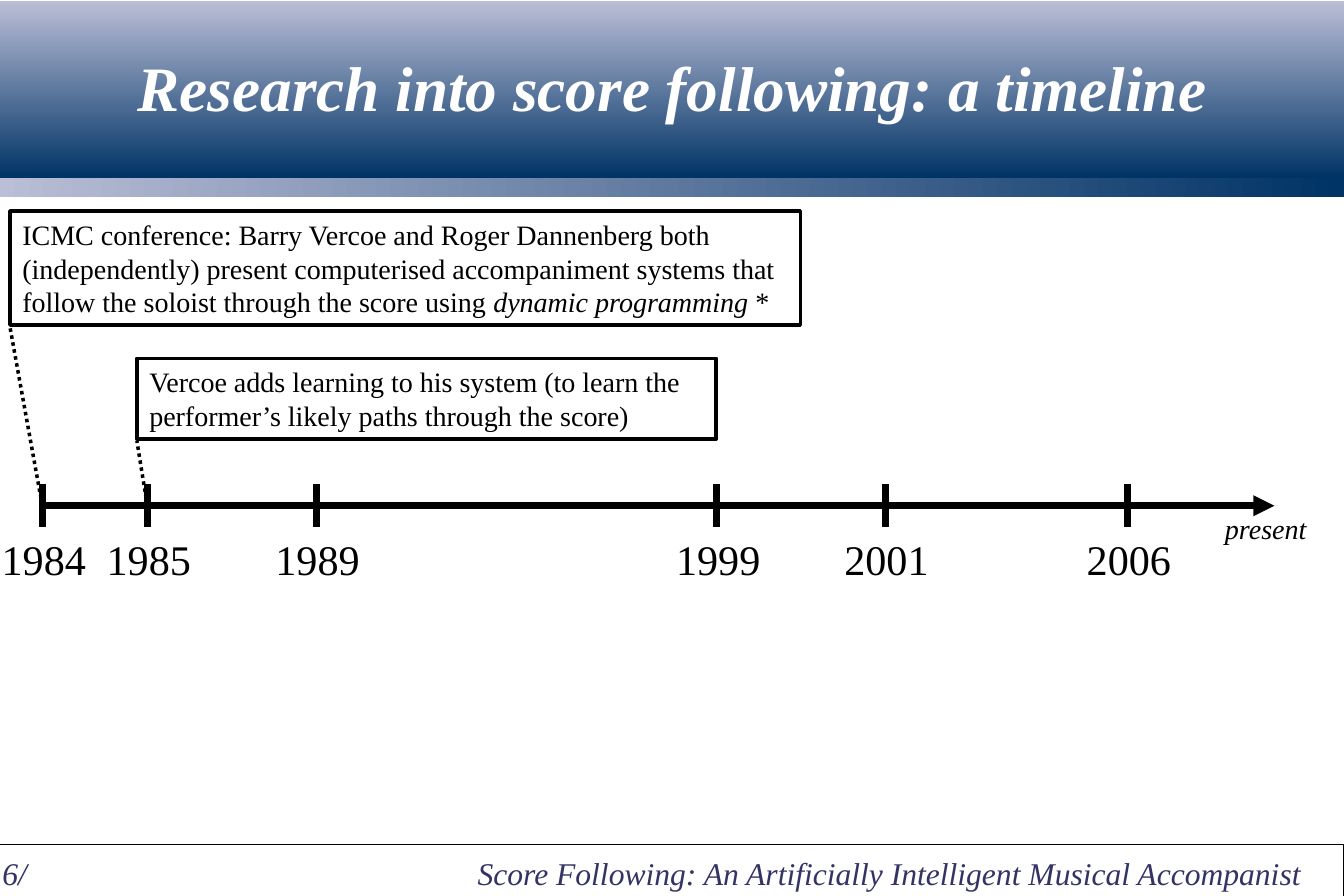
from dataclasses import dataclass

from lxml.etree import SubElement
from pptx import Presentation
from pptx.dml.color import RGBColor
from pptx.enum.dml import MSO_LINE
from pptx.enum.shapes import MSO_CONNECTOR, MSO_SHAPE
from pptx.enum.text import MSO_ANCHOR, MSO_AUTO_SIZE, PP_ALIGN
from pptx.oxml.ns import qn
from pptx.util import Cm, Pt


@dataclass(frozen=True)
class Theme:
    font: str = "Times New Roman"
    navy: RGBColor = RGBColor(0x00, 0x33, 0x66)
    lilac: RGBColor = RGBColor(0xBA, 0xBE, 0xD6)
    ink: RGBColor = RGBColor(0x00, 0x00, 0x00)
    white: RGBColor = RGBColor(0xFF, 0xFF, 0xFF)
    foot: RGBColor = RGBColor(0x33, 0x33, 0x66)
    title_size: Pt = Pt(36)
    year_size: Pt = Pt(24)
    foot_size: Pt = Pt(18)
    note_size: Pt = Pt(16)


theme = Theme()


def write(box, runs, size, color=theme.ink, align=PP_ALIGN.LEFT, wrap=True):
    """Fill a box with one paragraph of (text, italic) runs."""
    frame = box.text_frame
    frame.word_wrap = wrap
    frame.auto_size = MSO_AUTO_SIZE.NONE
    para = frame.paragraphs[0]
    para.alignment = align
    for text, slant in runs:
        run = para.add_run()
        run.text = text
        font = run.font
        font.name, font.size, font.italic = theme.font, size, slant
        font.color.rgb = color
    return frame


def draw_line(x1, y1, x2, y2, width):
    line = slide.shapes.add_connector(
        MSO_CONNECTOR.STRAIGHT, Cm(x1), Cm(y1), Cm(x2), Cm(y2))
    line.line.color.rgb = theme.ink
    line.line.width = Pt(width)
    SubElement(line.element.spPr, qn("a:effectLst"))
    return line


deck = Presentation()
deck.slide_width, deck.slide_height = Cm(27), Cm(18)
slide = deck.slides.add_slide(deck.slide_layouts[5])
shapes = slide.shapes

# Title on its shaded bands
title = shapes.title
for top, height, angle in [(3.48, 0.48, 180), (0.03, 3.55, 90)]:
    band = shapes.add_shape(MSO_SHAPE.RECTANGLE, 0, Cm(top), Cm(27), Cm(height))
    band.shadow.inherit = False
    band.line.fill.background()
    band.fill.gradient()
    band.fill.gradient_angle = angle
    for stop, color in zip(band.fill.gradient_stops, (theme.navy, theme.lilac)):
        stop.color.rgb = color
    title.element.addprevious(band.element)

title.left, title.top, title.width, title.height = Cm(1.98), Cm(0.3), Cm(23.06), Cm(3)
frame = write(title, [("Research into score following: a timeline", True)],
              theme.title_size, theme.white, PP_ALIGN.CENTER)
frame.vertical_anchor = MSO_ANCHOR.MIDDLE
frame.margin_left = frame.margin_right = frame.margin_top = frame.margin_bottom = 0
frame.paragraphs[0].line_spacing = 0.95
frame.paragraphs[0].runs[0].font.bold = True

# Footer
border = shapes.add_shape(MSO_SHAPE.RECTANGLE, Cm(-0.03), Cm(16.97), Cm(27.02), Cm(1.14))
border.shadow.inherit = False
border.fill.background()
border.line.color.rgb = theme.ink
border.line.width = Pt(0.75)
for left, width, text, align in [
    (0.05, 2, "6/", PP_ALIGN.LEFT),
    (8, 18.15, "Score Following: An Artificially Intelligent Musical Accompanist",
     PP_ALIGN.RIGHT),
]:
    box = shapes.add_textbox(Cm(left), Cm(16.97), Cm(width), Cm(1.14))
    frame = write(box, [(text, True)], theme.foot_size, theme.foot, align)
    frame.vertical_anchor = MSO_ANCHOR.MIDDLE
    frame.margin_left = frame.margin_right = 0

# Time axis with years
axis = 10.16
years = {"1984": 0.85, "1985": 2.96, "1989": 6.35,
         "1999": 14.4, "2001": 17.78, "2006": 22.65}
arrow = draw_line(years["1984"], axis, 25.6, axis, 4)
SubElement(arrow.line._get_or_add_ln(), qn("a:tailEnd"), type="triangle")
for year, x in years.items():
    draw_line(x, axis - 0.43, x, axis + 0.43, 4)
    label = shapes.add_textbox(Cm(x - 1.06), Cm(axis + 0.43), Cm(2.18), Cm(1.27))
    write(label, [(year, False)], theme.year_size, align=PP_ALIGN.CENTER, wrap=False)
present = shapes.add_textbox(Cm(24.36), Cm(axis), Cm(2.16), Cm(0.94))
write(present, [("present", True)], theme.note_size, wrap=False)

# Events, each tied to its year
events = [
    ("1984", 0.2, 4.24, 15.88, 2.29, [
        ("ICMC conference: Barry Vercoe and Roger Dannenberg both (independently) "
         "present computerised accompaniment systems that follow the soloist "
         "through the score using ", False),
        ("dynamic programming", True),
        (" *", False)]),
    ("1985", 2.75, 7.2, 11.64, 1.62, [
        ("Vercoe adds learning to his system (to learn the performer’s likely "
         "paths through the score)", False)]),
]
for year, left, top, width, height, runs in events:
    note = shapes.add_textbox(Cm(left), Cm(top), Cm(width), Cm(height))
    note.line.color.rgb = theme.ink
    note.line.width = Pt(2)
    write(note, runs, theme.note_size)
    tie = draw_line(years[year], axis, left, top + height + 0.04, 2)
    tie.line.dash_style = MSO_LINE.ROUND_DOT

deck.save("out.pptx")
